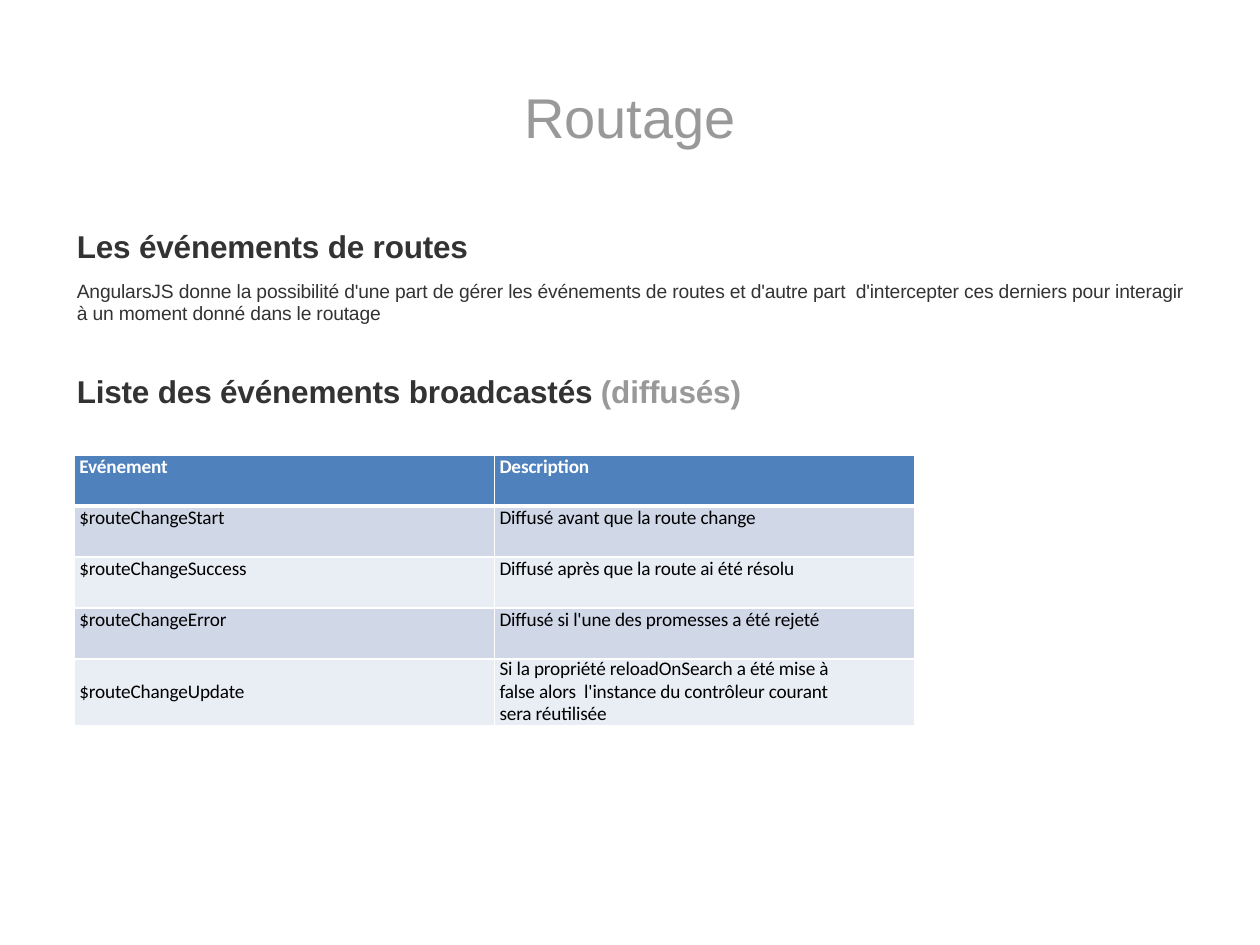
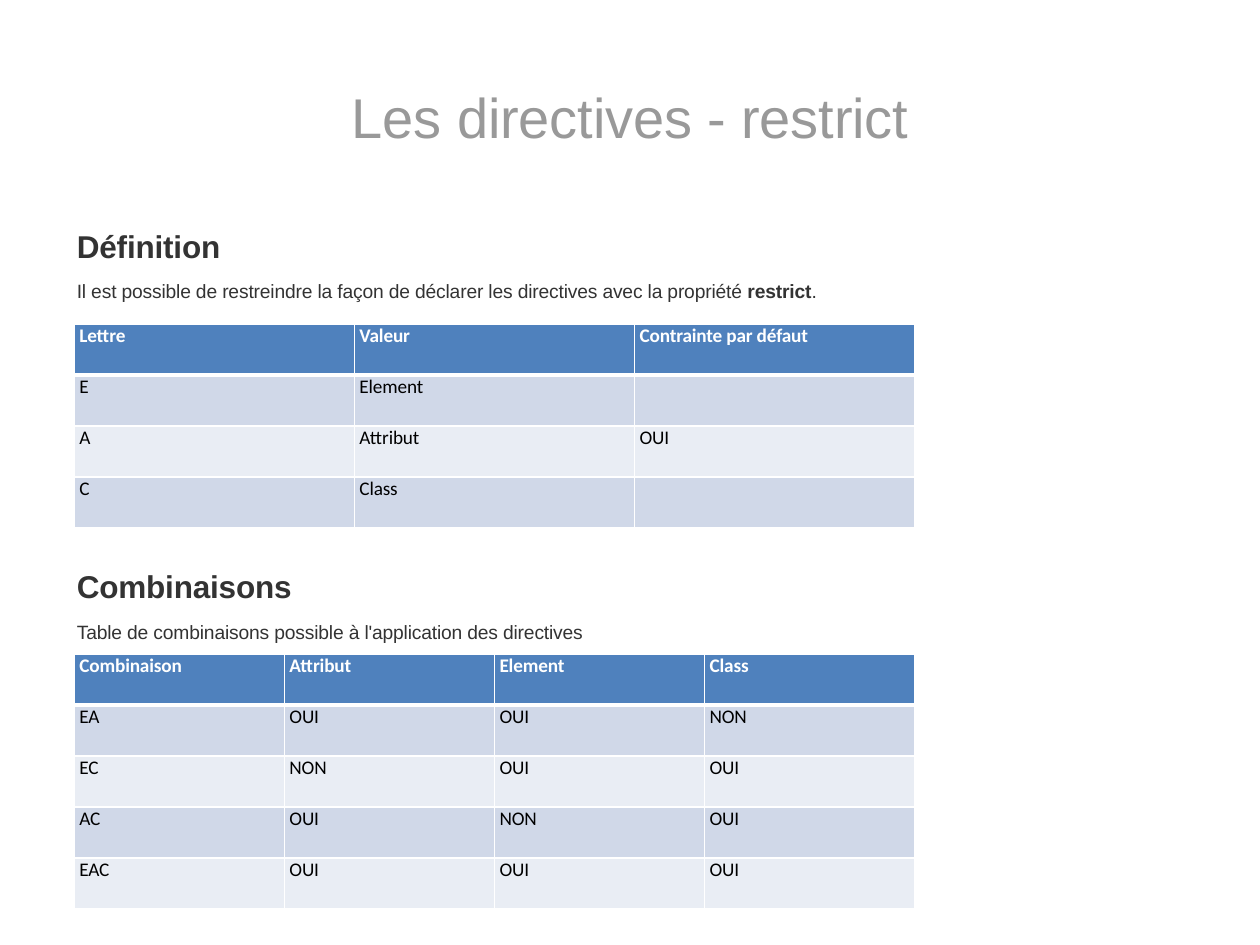
from dataclasses import dataclass

from lxml import etree
from pptx import Presentation
from pptx.dml.color import RGBColor
from pptx.enum.text import MSO_ANCHOR, MSO_AUTO_SIZE, PP_ALIGN
from pptx.oxml.ns import qn
from pptx.util import Inches, Pt

TOP, MIDDLE = MSO_ANCHOR.TOP, MSO_ANCHOR.MIDDLE
CENTER, LEFT = PP_ALIGN.CENTER, PP_ALIGN.LEFT
FIXED_SIZE = MSO_AUTO_SIZE.NONE

COLORS = {
    "paper": "FFFFFF",
    "title": "999999",
    "body": "333333",
    "header": "4F81BD",
    "odd_row": "D0D8E8",
    "even_row": "E9EDF4",
    "cell": "000000",
}
FORMATS = {
    "title": {"name": "Arial", "size": Pt(32), "bold": False},
    "heading": {"name": "Arial", "size": Pt(18), "bold": True},
    "body": {"name": "Arial", "size": Pt(11), "bold": False},
    "strong": {"name": "Arial", "size": Pt(11), "bold": True},
    "header": {"name": "Calibri", "size": Pt(11), "bold": True},
    "cell": {"name": "Calibri", "size": Pt(11), "bold": False},
}
TABLE_LEFT, TABLE_WIDTH, ROW_HEIGHT = 0.59, 6.67, 0.405
CELL_INSETS = {
    "margin_left": Inches(0.04),
    "margin_right": 0,
    "margin_top": 0,
    "margin_bottom": 0,
    "vertical_anchor": TOP,
}
TRACKING = "-10"


@dataclass
class Span:
    text: str
    style: str = "body"
    color: str = "body"


@dataclass
class Block:
    spans: list[Span]
    space_before: float = 0
    line_height: float | None = None


@dataclass
class Grid:
    top: float
    rows: list[list[str]]


@dataclass
class Page:
    title: str
    blocks: list[Block]
    grids: list[Grid]


def apply(target, values: dict) -> None:
    for attribute, value in values.items():
        setattr(target, attribute, value)


def place(shape, left: float, top: float, width: float, height: float) -> None:
    apply(shape, {"left": Inches(left), "top": Inches(top),
                  "width": Inches(width), "height": Inches(height)})


def write(paragraph, span: Span) -> None:
    run = paragraph.add_run()
    run.text = span.text
    apply(run.font, FORMATS[span.style])
    run.font.color.rgb = RGBColor.from_string(COLORS[span.color])
    run._r.get_or_add_rPr().set("spc", TRACKING)


def draw_title(slide, text: str) -> None:
    title = slide.shapes.title
    place(title, 0.5, 0.3, 9, 1.25)
    apply(title.text_frame, {"auto_size": FIXED_SIZE, "vertical_anchor": MIDDLE})
    paragraph = title.text_frame.paragraphs[0]
    paragraph.alignment = CENTER
    write(paragraph, Span(text, "title", "title"))


def draw_body(slide, blocks: list[Block]) -> None:
    body = slide.placeholders[1]
    place(body, 0.5, 1.75, 9, 4.95)
    frame = body.text_frame
    apply(frame, {"auto_size": FIXED_SIZE, "vertical_anchor": TOP})
    for index, block in enumerate(blocks):
        paragraph = frame.add_paragraph() if index else frame.paragraphs[0]
        apply(paragraph, {"alignment": LEFT, "space_before": Pt(block.space_before)})
        if block.line_height:
            paragraph.line_spacing = Pt(block.line_height)
        properties = paragraph._p.get_or_add_pPr()
        properties.set("marL", str(Inches(0.01)))
        properties.set("indent", "0")
        etree.SubElement(properties, qn("a:buNone"))
        for span in block.spans:
            write(paragraph, span)


def draw_borders(cell, is_header: bool) -> None:
    properties = cell._tc.get_or_add_tcPr()
    for side in ("L", "R", "T", "B"):
        width = Pt(3 if is_header and side == "B" else 1)
        line = etree.SubElement(properties, qn(f"a:ln{side}"), w=str(width))
        fill = etree.SubElement(line, qn("a:solidFill"))
        etree.SubElement(fill, qn("a:srgbClr"), val=COLORS["paper"])


def draw_grid(slide, grid: Grid) -> None:
    row_count, column_count = len(grid.rows), len(grid.rows[0])
    table = slide.shapes.add_table(
        row_count, column_count, Inches(TABLE_LEFT), Inches(grid.top),
        Inches(TABLE_WIDTH), Inches(ROW_HEIGHT * row_count)).table
    table.horz_banding = False
    for row_index, values in enumerate(grid.rows):
        is_header = row_index == 0
        band = "header" if is_header else ("even_row", "odd_row")[row_index % 2]
        span_look = ("header", "paper") if is_header else ("cell", "cell")
        for column_index, value in enumerate(values):
            cell = table.cell(row_index, column_index)
            apply(cell, CELL_INSETS)
            draw_borders(cell, is_header)
            cell.fill.solid()
            cell.fill.fore_color.rgb = RGBColor.from_string(COLORS[band])
            if value:
                write(cell.text_frame.paragraphs[0], Span(value, *span_look))
    return table


def heading(text: str, space_before: float = 0) -> Block:
    return Block([Span(text, "heading")], space_before)


ROUTING = Page(
    "Routage",
    [
        heading("Les événements de routes"),
        Block([Span("AngularsJS donne la possibilité d'une part de gérer les événements de "
                    "routes et d'autre part  d'intercepter ces derniers pour interagir à un "
                    "moment donné dans le routage")], 9, 12.7),
        Block([Span("Liste des événements broadcastés ", "heading"),
               Span("(diffusés)", "heading", "title")], 27),
    ],
    [Grid(3.61, [
        ["Evénement", "Description"],
        ["$routeChangeStart", "Diffusé avant que la route change"],
        ["$routeChangeSuccess", "Diffusé après que la route ai été résolu"],
        ["$routeChangeError", "Diffusé si l'une des promesses a été rejeté"],
        ["$routeChangeUpdate", "Si la propriété reloadOnSearch a été mise à false alors  "
                               "l'instance du contrôleur courant sera réutilisée"],
    ])],
)
DIRECTIVES = Page(
    "Les directives - restrict",
    [
        heading("Définition"),
        Block([Span("Il est possible de restreindre la façon de déclarer les directives "
                    "avec la propriété "), Span("restrict", "strong"), Span(".")], 8.2),
        heading("Combinaisons", 151.7),
        Block([Span("Table de combinaisons possible à l'application des directives")], 8.3),
    ],
    [
        Grid(2.57, [
            ["Lettre", "Valeur", "Contrainte par défaut"],
            ["E", "Element", ""],
            ["A", "Attribut", "OUI"],
            ["C", "Class", ""],
        ]),
        Grid(5.19, [
            ["Combinaison", "Attribut", "Element", "Class"],
            ["EA", "OUI", "OUI", "NON"],
            ["EC", "NON", "OUI", "OUI"],
            ["AC", "OUI", "NON", "OUI"],
            ["EAC", "OUI", "OUI", "OUI"],
        ]),
    ],
)


def draw_page(presentation, page: Page) -> list:
    slide = presentation.slides.add_slide(presentation.slide_layouts[1])
    draw_title(slide, page.title)
    draw_body(slide, page.blocks)
    return [draw_grid(slide, grid) for grid in page.grids]


presentation = Presentation()
apply(presentation, {"slide_width": Inches(10), "slide_height": Inches(7.5)})
events = draw_page(presentation, ROUTING)[0]
draw_page(presentation, DIRECTIVES)

update_name, update_description = events.cell(4, 0), events.cell(4, 1)
update_name.vertical_anchor = MIDDLE
update_description.margin_right = Inches(0.67)
update_description.text_frame.paragraphs[0].line_spacing = Pt(12.7)
events.rows[4].height = Inches(0.53)

presentation.save("out.pptx")
